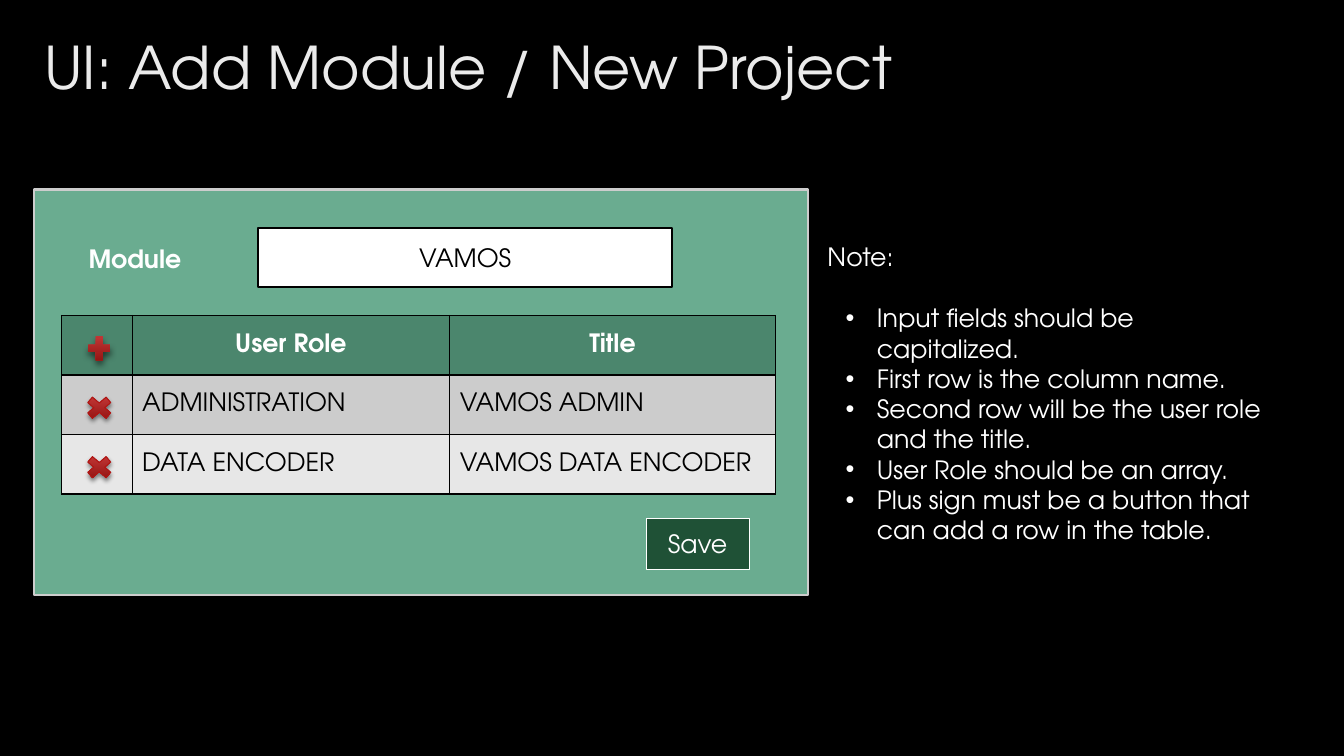
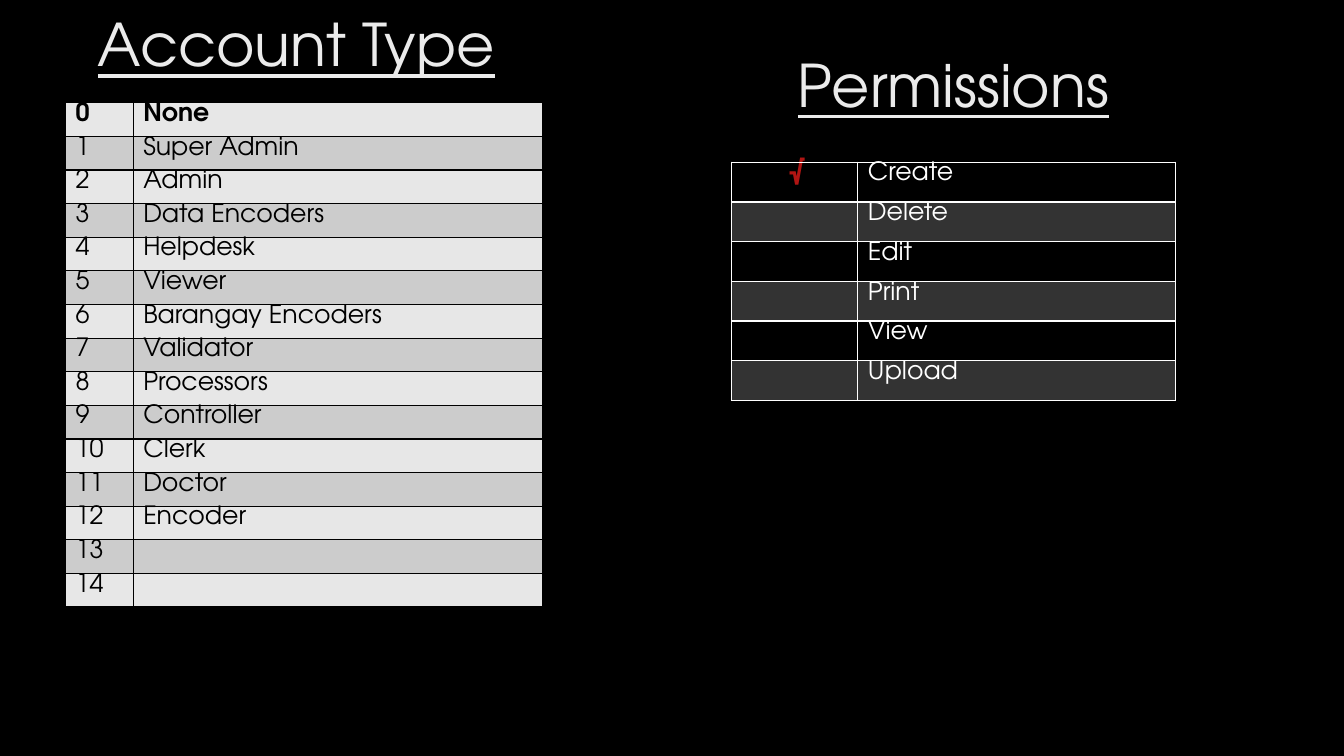
from dataclasses import dataclass

from lxml import etree
from pptx import Presentation
from pptx.dml.color import RGBColor
from pptx.enum.shapes import MSO_SHAPE
from pptx.enum.text import MSO_ANCHOR, PP_ALIGN
from pptx.oxml.ns import qn
from pptx.util import Inches, Pt

RECT, PLUS, CROSS = MSO_SHAPE.RECTANGLE, MSO_SHAPE.MATH_PLUS, MSO_SHAPE.MATH_MULTIPLY
LEFT, CENTER = PP_ALIGN.LEFT, PP_ALIGN.CENTER
TOP, MIDDLE = MSO_ANCHOR.TOP, MSO_ANCHOR.MIDDLE


@dataclass(frozen=True)
class Theme:
    font: str = "TeX Gyre Adventor"
    title_size: int = 42
    body_size: int = 18
    black: str = "000000"
    white: str = "FFFFFF"
    title: str = "EBEBEB"
    panel: str = "6AAC90"
    panel_line: str = "CDCDCD"
    header: str = "4B866D"
    button: str = "1F5136"
    dark_band: str = "CCCCCC"
    light_band: str = "E7E7E7"
    red: str = "B01513"
    red_top: str = "C93B3A"
    red_bottom: str = "8D110F"


T = Theme()


def rgb(color):
    return RGBColor.from_string(color)


def add_xml(parent, tag, **attrs):
    return etree.SubElement(parent, qn(tag), {k: str(v) for k, v in attrs.items()})


class Deck:
    """Holds the current slide; lengths are percent of the slide's size."""

    def __init__(self):
        self.prs = Presentation()
        self.prs.slide_width, self.prs.slide_height = Inches(13.33), Inches(7.5)
        self.s = None

    def x(self, share):
        return int(self.prs.slide_width * share / 100)

    def y(self, share):
        return int(self.prs.slide_height * share / 100)

    def box(self, left, top, width, height):
        return self.x(left), self.y(top), self.x(width), self.y(height)

    def slide(self):
        self.s = self.prs.slides.add_slide(self.prs.slide_layouts[6])
        fill = self.s.background.fill
        fill.solid()
        fill.fore_color.rgb = rgb(T.black)

    def run(self, p, text, color, size=T.body_size, bold=False, underline=False):
        r = p.add_run()
        r.text = text
        r.font.name, r.font.size = T.font, Pt(size)
        r.font.bold, r.font.underline = bold, underline
        r.font.color.rgb = rgb(color)

    def text(self, at, text, color=T.white, align=LEFT, **style):
        tf = self.s.shapes.add_textbox(*self.box(*at)).text_frame
        tf.word_wrap = True
        tf.vertical_anchor = TOP
        p = tf.paragraphs[0]
        p.alignment = align
        self.run(p, text, color, **style)
        return tf

    def title(self, at, text, align=LEFT, underline=False):
        self.text(at, text, T.title, align, size=T.title_size, underline=underline)

    def bullets(self, at, heading, items):
        tf = self.text(at, heading)
        tf.paragraphs[0].space_after = Pt(22)
        for item in items:
            p = tf.add_paragraph()
            pPr = p._p.get_or_add_pPr()
            pPr.set("marL", str(Inches(0.49)))
            pPr.set("indent", str(Inches(-0.31)))
            add_xml(pPr, "a:buFont", typeface="Arial")
            add_xml(pPr, "a:buChar", char="•")
            self.run(p, item, T.white)

    def shape(self, kind, at, line=None, weight=1):
        sp = self.s.shapes.add_shape(kind, *self.box(*at))
        sp.shadow.inherit = False
        if line:
            sp.line.color.rgb = rgb(line)
            sp.line.width = Pt(weight)
        else:
            sp.line.fill.background()
        return sp

    def rect(self, at, fill, line, weight, text="", color=T.white):
        sp = self.shape(RECT, at, line, weight)
        sp.fill.solid()
        sp.fill.fore_color.rgb = rgb(fill)
        if text:
            tf = sp.text_frame
            tf.vertical_anchor = MIDDLE
            p = tf.paragraphs[0]
            p.alignment = CENTER
            self.run(p, text, color)

    def icon(self, kind, center, size, line, shadow):
        (cx, cy), (w, h), (alpha, blur, dist) = center, size, shadow
        sp = self.shape(kind, (cx - w / 2, cy - h / 2, w, h), line, 0.75)
        sp.fill.gradient()
        sp.fill.gradient_angle = 270
        for stop, color in zip(sp.fill.gradient_stops, (T.red_top, T.red_bottom)):
            stop.color.rgb = rgb(color)
        effects = sp._element.spPr.find(qn("a:effectLst"))
        outer = add_xml(effects, "a:outerShdw", blurRad=Pt(blur), dist=Pt(dist),
                        dir=90 * 60000, rotWithShape=0)
        clr = add_xml(outer, "a:srgbClr", val=T.black)
        add_xml(clr, "a:alpha", val=alpha * 1000)

    def table(self, left, top, cols, row_height, rows, fills, cell_style,
              border, anchor=TOP, tight=False, rule=1):
        """fills(i) gives (color, opacity) or None; cell_style(i, j) gives (color, bold, align)."""
        at = self.box(left, top, sum(cols), row_height * len(rows))
        table = self.s.shapes.add_table(len(rows), len(cols), *at).table
        table.first_row = table.horz_banding = False
        for column, width in zip(table.columns, cols):
            column.width = self.x(width)
        for i, texts in enumerate(rows):
            table.rows[i].height = self.y(row_height)
            for j, text in enumerate(texts):
                cell = table.cell(i, j)
                cell.vertical_anchor = anchor
                if tight:
                    cell.margin_top = cell.margin_bottom = 0
                self.fill_cell(cell, fills(i))
                self.borders(cell, border, rule if i == 0 else 1)
                if text:
                    color, bold, align = cell_style(i, j)
                    p = cell.text_frame.paragraphs[0]
                    p.alignment = align
                    self.run(p, text, color, bold=bold)

    def fill_cell(self, cell, fill):
        if fill is None:
            cell.fill.background()
            return
        color, opacity = fill
        cell.fill.solid()
        cell.fill.fore_color.rgb = rgb(color)
        if opacity < 100:
            clr = cell._tc.tcPr.find(".//" + qn("a:srgbClr"))
            add_xml(clr, "a:alpha", val=opacity * 1000)

    def borders(self, cell, color, bottom):
        tcPr = cell._tc.tcPr
        for n, side in enumerate("LRTB"):
            ln = add_xml(tcPr, "a:ln" + side, w=Pt(bottom if side == "B" else 1))
            add_xml(add_xml(ln, "a:solidFill"), "a:srgbClr", val=color)
            tcPr.insert(n, ln)  # borders precede the fill


def add_module_slide(d):
    d.slide()
    d.rect((2.55, 25.07, 57.6, 53.6), T.panel, T.panel_line, 1.5)
    d.title((2.55, 3.47, 77.2, 20.4), "UI: Add Module / New Project")

    # Form fields
    d.text((5.85, 31.47, 9.68, 5.33), "Module", bold=True)
    d.rect((19.2, 30.13, 30.83, 7.87), T.white, T.black, 1.5, "VAMOS", T.black)
    d.rect((48.08, 68.53, 7.65, 6.8), T.button, T.white, 0.25, "Save")

    # Role table
    top, row = 41.73, 7.87
    bands = (T.header, T.dark_band, T.light_band)
    d.table(4.58, top, (5.25, 23.63, 24.23), row,
            [("", "User Role", "Title"),
             ("", "ADMINISTRATION", "VAMOS ADMIN"),
             ("", "DATA ENCODER", "VAMOS DATA ENCODER")],
            lambda i: (bands[i], 100),
            lambda i, j: (T.black, False, LEFT) if i else (T.white, True, CENTER),
            T.black, MIDDLE)

    # Add and remove buttons, one per row
    add = (PLUS, (2.18, 4.27), None, (60, 5, 3))
    remove = (CROSS, (2.63, 4), T.red, (45, 3, 2))
    for i, (kind, size, line, shadow) in enumerate((add, remove, remove)):
        d.icon(kind, (7.39, top + row * (i + 0.5) + 0.4), size, line, shadow)

    d.bullets((60.83, 31.33, 34.88, 41.73), "Note:", [
        "Input fields should be capitalized.",
        "First row is the column name.",
        "Second row will be the user role and the title.",
        "User Role should be an array.",
        "Plus sign must be a button that can add a row in the table."])


def add_account_slide(d):
    d.slide()

    # Account types
    d.title((4.88, 0.4, 34.35, 13.33), "Account Type", CENTER, underline=True)
    accounts = ["None", "Super Admin", "Admin", "Data Encoders", "Helpdesk",
                "Viewer", "Barangay Encoders", "Validator", "Processors",
                "Controller", "Clerk", "Doctor", "Encoder", "", ""]
    d.table(4.88, 13.6, (5.03, 30.45), 4.45,
            [(str(n), name) for n, name in enumerate(accounts)],
            lambda i: (T.dark_band if i % 2 else T.light_band, 100),
            lambda i, j: (T.black, i == 0, LEFT),
            T.black, tight=True)

    # Permissions
    d.title((53.78, 5.73, 34.35, 13.33), "Permissions", CENTER, underline=True)
    permissions = ["Create", "Delete", "Edit", "Print", "View", "Upload"]
    d.table(54.45, 21.47, (9.38, 23.63), 5.25,
            [("" if i else "√", name) for i, name in enumerate(permissions)],
            lambda i: (T.white, 20) if i % 2 else None,
            lambda i, j: (T.white, False, LEFT) if j else (T.red, True, CENTER),
            T.white, tight=True, rule=2)


def main():
    d = Deck()
    add_module_slide(d)
    add_account_slide(d)
    d.prs.save("out.pptx")


if __name__ == "__main__":
    main()
